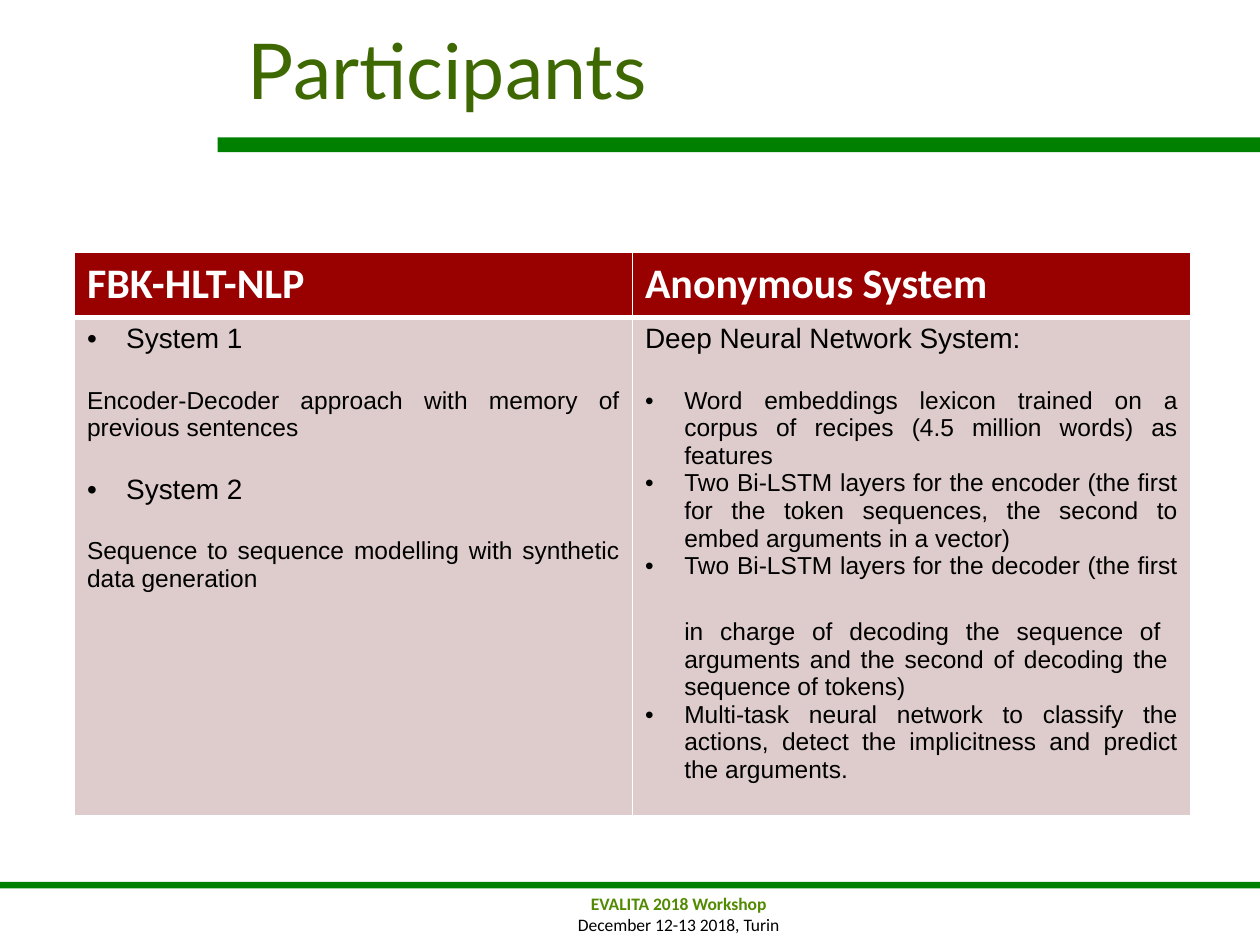
import dataclasses

import lxml.etree
import pptx
import pptx.dml.color
import pptx.enum.shapes
import pptx.enum.text
import pptx.oxml.ns
import pptx.util

Cm = pptx.util.Cm
Pt = pptx.util.Pt
ALIGN = pptx.enum.text.PP_ALIGN
qn = pptx.oxml.ns.qn


@dataclasses.dataclass(frozen=True)
class Theme:
    """Colours, fonts and type sizes of the slide."""
    bar: str = "008000"
    title: str = "3E6802"
    event: str = "528A02"
    header: str = "990000"
    body: str = "DECCCC"
    white: str = "FFFFFF"
    black: str = "000000"
    title_font: str = "Lato"
    head_font: str = "Calibri"
    body_font: str = "Arial"
    title_size: int = 44
    head_size: int = 24
    lead_size: int = 16
    text_size: int = 14
    footer_size: int = 10
    thin: int = 1
    thick: int = 3


THEME = Theme()

HEADERS = ["FBK-HLT-NLP", "Anonymous System"]

LEAD, PLAIN, BULLET, LEAD_BULLET = "lead", "plain", "bullet", "lead bullet"

SYSTEMS = [
    [
        (LEAD_BULLET, "System 1", False),
        (PLAIN, "Encoder-Decoder approach with memory of previous sentences", True),
        (LEAD_BULLET, "System 2", True),
        (PLAIN, "Sequence to sequence modelling with synthetic data generation", True),
    ],
    [
        (LEAD, "Deep Neural Network System:", False),
        (BULLET, "Word embeddings lexicon trained on a corpus of recipes "
                 "(4.5 million words) as features", True),
        (BULLET, "Two Bi-LSTM layers for the encoder (the first for the token sequences, "
                 "the second to embed arguments in a vector)", False),
        (BULLET, "Two Bi-LSTM layers for the decoder (the first \n"
                 "in charge of decoding the sequence of \n"
                 "arguments and the second of decoding the \n"
                 "sequence of tokens)", False),
        (BULLET, "Multi-task neural network to classify the actions, "
                 "detect the implicitness and predict the arguments.", False),
    ],
]


def rgb(value):
    """Return a colour object for a hex value."""
    return pptx.dml.color.RGBColor.from_string(value)


def add_text(p, text, font, size, color, bold=False):
    """Add runs to a paragraph, one for each line of the text."""
    for i, line in enumerate(text.split("\n")):
        if i:
            p.add_line_break()
        r = p.add_run()
        r.text = line
        r.font.name = font
        r.font.size = Pt(size)
        r.font.bold = bold
        r.font.color.rgb = rgb(color)


def add_bullet(p, indent):
    """Give a paragraph a round bullet with a hanging indent."""
    pPr = p._p.get_or_add_pPr()
    pPr.set("marL", str(indent))
    pPr.set("indent", str(-indent))
    lxml.etree.SubElement(pPr, qn("a:buFont"), typeface=THEME.body_font)
    lxml.etree.SubElement(pPr, qn("a:buChar"), char="•")


def style_cell(cell, fill, top, bottom):
    """Set the borders and the fill of a table cell."""
    tcPr = cell._tc.get_or_add_tcPr()
    widths = {"lnL": THEME.thin, "lnR": THEME.thin, "lnT": top, "lnB": bottom}
    for side, width in widths.items():
        ln = lxml.etree.SubElement(tcPr, qn(f"a:{side}"), w=str(Pt(width)))
        solid = lxml.etree.SubElement(ln, qn("a:solidFill"))
        lxml.etree.SubElement(solid, qn("a:srgbClr"), val=THEME.white)
    cell.fill.solid()
    cell.fill.fore_color.rgb = rgb(fill)


def add_bar(s, left, top, width, height):
    """Draw a plain green bar."""
    sp = s.shapes.add_shape(pptx.enum.shapes.MSO_SHAPE.RECTANGLE, left, top, width, height)
    sp.shadow.inherit = False
    sp.fill.solid()
    sp.fill.fore_color.rgb = rgb(THEME.bar)
    sp.line.fill.background()


def add_title(s, left, top, width, height):
    """Place the title with a bar below it that runs to the right edge."""
    overhang = Cm(0.36)
    add_bar(s, left - overhang, top + height + Cm(0.05), width + overhang, Cm(0.3))
    tf = s.shapes.add_textbox(left, top, width, height).text_frame
    tf.word_wrap = True
    tf.vertical_anchor = pptx.enum.text.MSO_ANCHOR.MIDDLE
    add_text(tf.paragraphs[0], "Participants", THEME.title_font, THEME.title_size, THEME.title)


def fill_body(tf, items):
    """Write the description of one system into a table cell."""
    for i, (kind, text, gap) in enumerate(items):
        p = tf.add_paragraph() if i else tf.paragraphs[0]
        if gap:
            p.space_before = Pt(18.4)
        if kind in (BULLET, LEAD_BULLET):
            add_bullet(p, Cm(0.79))
        lead = kind in (LEAD, LEAD_BULLET)
        p.alignment = ALIGN.LEFT if lead else ALIGN.JUSTIFY
        size = THEME.lead_size if lead else THEME.text_size
        add_text(p, text, THEME.body_font, size, THEME.black)


def add_systems(s, left, top, width, height):
    """Place the table that compares the participating systems."""
    table = s.shapes.add_table(2, len(HEADERS), left, top, width, height).table
    header_height = Cm(1.32)
    table.rows[0].height = header_height
    table.rows[1].height = height - header_height
    for col, (header, items) in enumerate(zip(HEADERS, SYSTEMS)):
        table.columns[col].width = width // len(HEADERS)
        head, body = table.cell(0, col), table.cell(1, col)
        style_cell(head, THEME.header, THEME.thin, THEME.thick)
        style_cell(body, THEME.body, THEME.thick, THEME.thin)
        add_text(head.text_frame.paragraphs[0], header, THEME.head_font,
                 THEME.head_size, THEME.white, True)
        fill_body(body.text_frame, items)


def add_footer(s, left, top, width, height):
    """Place the footer bar and the centred event lines below it."""
    add_bar(s, left, top, width, Cm(0.13))
    tf = s.shapes.add_textbox(left + Cm(9.5), top + Cm(0.1), Cm(8.36), height - Cm(0.1)).text_frame
    tf.word_wrap = True
    lines = [("EVALITA 2018 Workshop", THEME.event, True),
             ("December 12-13 2018, Turin", THEME.black, False)]
    for i, (text, color, bold) in enumerate(lines):
        p = tf.add_paragraph() if i else tf.paragraphs[0]
        p.alignment = ALIGN.CENTER
        add_text(p, text, THEME.head_font, THEME.footer_size, color, bold)


def main():
    """Build the slide and save it."""
    prs = pptx.Presentation()
    prs.slide_width, prs.slide_height = Cm(25.4), Cm(19.05)
    s = prs.slides.add_slide(prs.slide_layouts[6])
    add_title(s, Cm(4.75), Cm(0.05), Cm(20.65), Cm(2.67))
    add_systems(s, Cm(1.5), Cm(5.08), Cm(22.5), Cm(11.1))
    add_footer(s, Cm(0), Cm(17.78), prs.slide_width, Cm(1.22))
    prs.save("out.pptx")


if __name__ == "__main__":
    main()
